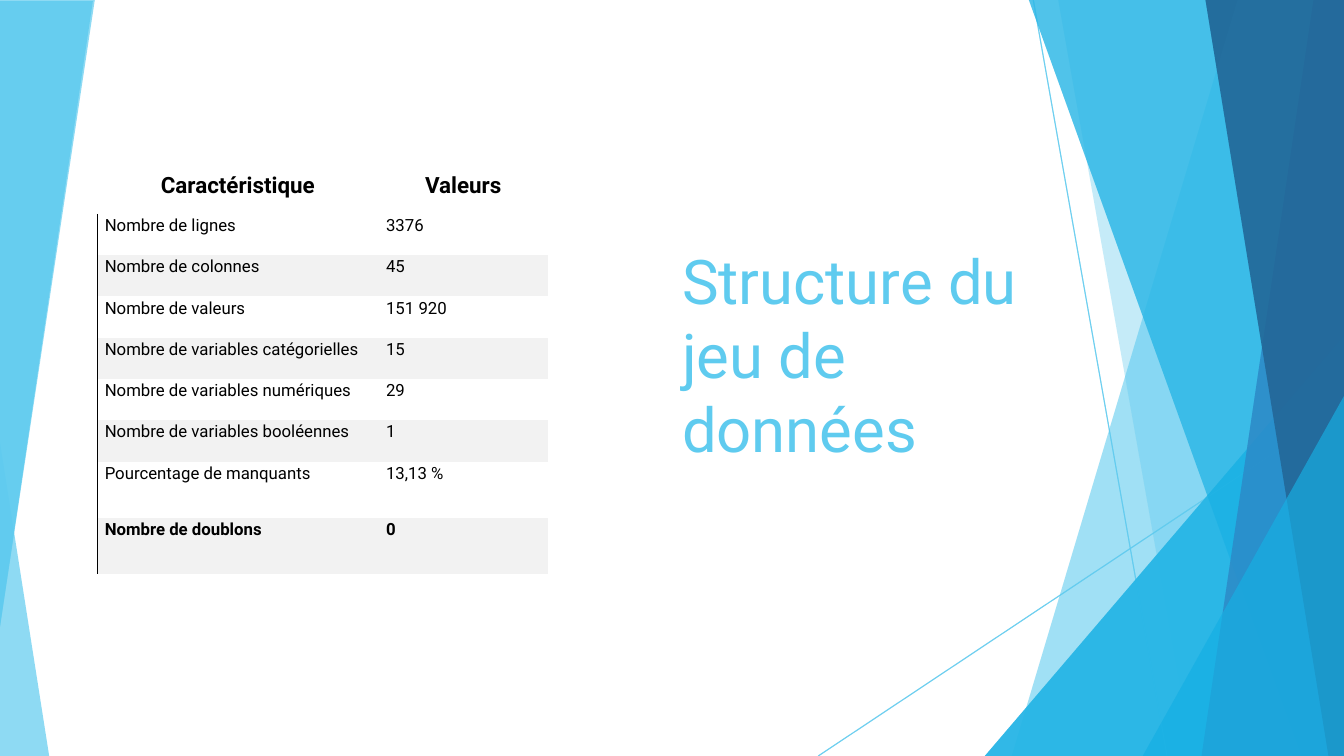
from dataclasses import dataclass

from pptx import Presentation
from pptx.dml.color import RGBColor
from pptx.enum.shapes import MSO_CONNECTOR, MSO_SHAPE
from pptx.enum.text import MSO_ANCHOR, PP_ALIGN
from pptx.oxml import parse_xml
from pptx.oxml.ns import nsdecls, qn
from pptx.oxml.xmlchemy import OxmlElement
from pptx.util import Cm, Pt

WIDTH, HEIGHT = 33.87, 19.05
NO_STYLE_NO_GRID = "{2D5ABB26-0587-4C30-8999-92F81FD0307C}"


@dataclass(frozen=True)
class Theme:
    font: str = "Roboto"
    sky: str = "5FCBEF"
    cyan: str = "17B0E4"
    blue: str = "2E83C3"
    navy: str = "226292"
    band: str = "F2F2F2"
    ink: str = "000000"
    title_size: int = 44
    header_size: int = 16
    body_size: int = 12
    line_width: float = 0.75


class SlideBuilder:
    def __init__(self, slide, theme):
        self.shapes = slide.shapes
        self.theme = theme

    def set_alpha(self, fill, percent):
        alpha = OxmlElement("a:alpha")
        alpha.set("val", str(percent * 1000))
        fill._xPr.find(".//" + qn("a:srgbClr")).append(alpha)

    def paint(self, shape, color, opacity):
        shape.shadow.inherit = False
        shape.fill.solid()
        shape.fill.fore_color.rgb = RGBColor.from_string(color)
        self.set_alpha(shape.fill, opacity)
        shape.line.fill.background()

    def line(self, start, end, opacity=70):
        ray = self.shapes.add_connector(
            MSO_CONNECTOR.STRAIGHT, *(Cm(v) for v in start + end))
        ray.line.width = Pt(self.theme.line_width)
        ray.line.color.rgb = RGBColor.from_string(self.theme.sky)
        self.set_alpha(ray.line.fill, opacity)
        ray._element.spPr.append(OxmlElement("a:effectLst"))

    def polygon(self, points, color, opacity):
        first, *rest = [(Cm(x), Cm(y)) for x, y in points]
        outline = self.shapes.build_freeform(*first)
        outline.add_line_segments(rest, close=True)
        self.paint(outline.convert_to_shape(), color, opacity)

    def triangle(self, box, apex, color, opacity, rotation=0):
        shape = self.shapes.add_shape(
            MSO_SHAPE.ISOSCELES_TRIANGLE, *(Cm(v) for v in box))
        shape.adjustments[0] = apex
        shape.rotation = rotation
        self.paint(shape, color, opacity)

    def style(self, paragraph, size, color, bold=False):
        font = paragraph.font
        font.name, font.size, font.bold = self.theme.font, Pt(size), bold
        font.color.rgb = RGBColor.from_string(color)

    def title(self, text, box):
        frame = self.shapes.add_textbox(*(Cm(v) for v in box)).text_frame
        frame.word_wrap = True
        frame.vertical_anchor = MSO_ANCHOR.BOTTOM
        frame.text = text
        self.style(frame.paragraphs[0], self.theme.title_size, self.theme.sky)

    def left_border(self, cell):
        border = parse_xml(
            f'<a:lnL {nsdecls("a")} w="{Pt(self.theme.line_width)}"><a:solidFill>'
            f'<a:srgbClr val="{self.theme.ink}"/></a:solidFill></a:lnL>')
        cell._tc.get_or_add_tcPr().insert(0, border)

    def table(self, rows, left, top, widths, heights):
        table = self.shapes.add_table(
            len(rows), len(widths), Cm(left), Cm(top),
            Cm(sum(widths)), Cm(sum(heights))).table
        table._tbl.tblPr.find(qn("a:tableStyleId")).text = NO_STYLE_NO_GRID
        table.horz_banding = False
        table.first_row = False
        for column, width in zip(table.columns, widths):
            column.width = Cm(width)
        for row, height in zip(table.rows, heights):
            row.height = Cm(height)
        for r, values in enumerate(rows):
            for c, value in enumerate(values):
                self.cell(table.cell(r, c), value, r, c, r == len(rows) - 1)

    def cell(self, cell, value, row, column, is_last):
        theme, is_header = self.theme, row == 0
        cell.text = value
        cell.margin_left, cell.margin_top = Cm(0.18), Cm(0.05)
        cell.margin_right, cell.margin_bottom = Cm(0.2), Cm(0.38)
        paragraph = cell.text_frame.paragraphs[0]
        self.style(paragraph, theme.header_size if is_header else theme.body_size,
                   theme.ink, bold=is_header or is_last)
        if is_header:
            cell.vertical_anchor = MSO_ANCHOR.BOTTOM
            paragraph.alignment = PP_ALIGN.CENTER
        elif column:
            paragraph.alignment = PP_ALIGN.JUSTIFY
        if row and row % 2 == 0:
            cell.fill.solid()
            cell.fill.fore_color.rgb = RGBColor.from_string(theme.band)
        else:
            cell.fill.background()
        if row and column == 0:
            self.left_border(cell)

    def right_facets(self):
        theme = self.theme

        def blade(top_x, bottom_x, color, opacity):
            self.polygon([(top_x, 0), (WIDTH, 0), (WIDTH, HEIGHT), (bottom_x, HEIGHT)],
                         color, opacity)

        def corner(x, y):
            self.triangle((x, y, WIDTH - x, HEIGHT - y), 1, theme.cyan, 66)

        self.line((26.04, 0), (29.41, HEIGHT))
        self.line((WIDTH, 10.24), (20.62, HEIGHT))
        blade(31.19, 25.5, theme.sky, 36)
        blade(26.67, 30.05, theme.sky, 20)
        corner(24.82, 8.46)
        blade(25.93, 32.79, theme.cyan, 50)
        blade(33.1, 30.28, theme.blue, 70)
        blade(30.38, 33.48, theme.navy, 80)
        corner(28.8, 9.98)


def main():
    presentation = Presentation()
    presentation.slide_width, presentation.slide_height = Cm(WIDTH), Cm(HEIGHT)
    theme = Theme()
    slide = SlideBuilder(
        presentation.slides.add_slide(presentation.slide_layouts[6]), theme)

    # Translucent facets: the right-hand set is laid down twice for depth
    slide.right_facets()
    slide.triangle((0, 11.15, 1.24, 7.9), 0, theme.sky, 70)
    slide.polygon([(0, 0), (2.39, 0), (0, 15.8)], theme.sky, 70)
    slide.right_facets()

    # Title
    slide.title("Structure du jeu de données", (16.94, 3.51, 9.7, 8.33))

    # Left facet
    slide.triangle((0, 0.03, 2.34, 15.75), 1, theme.sky, 85, rotation=180)

    # Dataset summary
    summary = [
        ("Caractéristique", "Valeurs"),
        ("Nombre de lignes", "3376"),
        ("Nombre de colonnes", "45"),
        ("Nombre de valeurs", "151 920"),
        ("Nombre de variables catégorielles", "15"),
        ("Nombre de variables numériques", "29"),
        ("Nombre de variables booléennes", "1"),
        ("Pourcentage de manquants", "13,13 %"),
        ("Nombre de doublons", "0"),
    ]
    slide.table(summary, 2.46, 4.17, widths=[7.09, 4.27],
                heights=[1.22] + [1.04] * 6 + [1.42] * 2)

    presentation.save("out.pptx")


if __name__ == "__main__":
    main()
